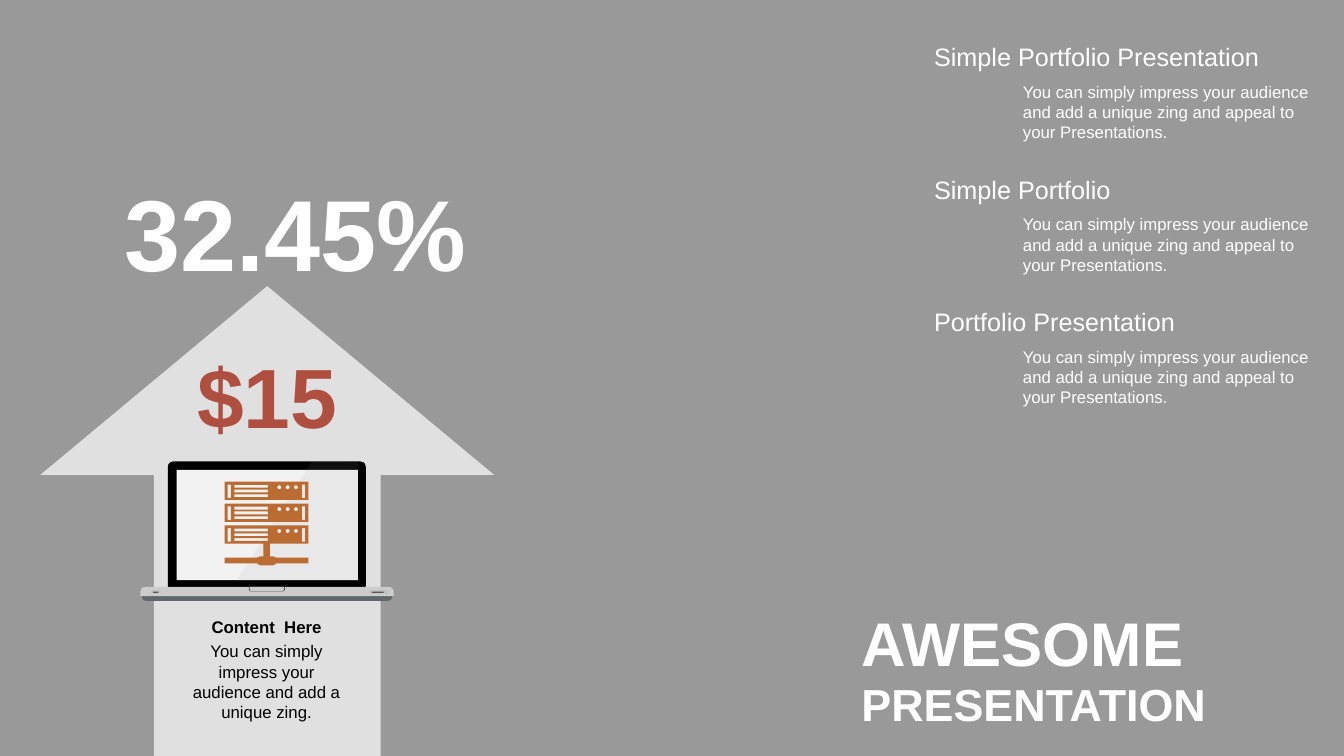
from math import cos, pi, sin

from lxml.etree import SubElement
from pptx import Presentation
from pptx.dml.color import RGBColor
from pptx.enum.shapes import MSO_SHAPE as Preset
from pptx.enum.text import MSO_ANCHOR as Anchor, MSO_AUTO_SIZE as AutoSize, PP_ALIGN as Align
from pptx.oxml.ns import qn
from pptx.util import Cm, Pt

WHITE = RGBColor(0xFF, 0xFF, 0xFF)
BLACK = RGBColor(0x00, 0x00, 0x00)
RED = RGBColor(0xAF, 0x4F, 0x3F)
ORANGE = RGBColor(0xBB, 0x6C, 0x32)
SCREEN = RGBColor(0xF2, 0xF2, 0xF2)
SHEEN = RGBColor(0x99, 0x99, 0x99)
BASE = RGBColor(0xCC, 0xCC, 0xCC)
FOOT = RGBColor(0x5F, 0x67, 0x67)
NOTCH = RGBColor(0x4D, 0x4D, 0x4D)
VENT = RGBColor(0xBF, 0xBF, 0xBF)
SLIT = RGBColor(0x59, 0x59, 0x59)

SLIDE_W, SLIDE_H = 33.87, 19.05
BLURB = "You can simply impress your audience and add a unique zing and appeal to your Presentations."
SECTIONS = ["Simple Portfolio Presentation", "Simple Portfolio", "Portfolio Presentation"]
SECTION_PITCH = 3.34
HEADING_BOX = (23.29, 1.07, 10.36, 0.86)
BLURB_BOX = (25.53, 1.93, 8.13, 1.8)

STYLES = {
    "price": (RED, {"size": Pt(60), "bold": True}, {"alignment": Align.CENTER}),
    "percent": (WHITE, {"size": Pt(72), "bold": True}, {"alignment": Align.CENTER}),
    "caption": (BLACK, {"size": Pt(12), "bold": False}, {"alignment": Align.CENTER}),
    "caption head": (BLACK, {"size": Pt(12), "bold": True}, {"alignment": Align.CENTER}),
    "heading": (WHITE, {"size": Pt(18), "bold": False}, {"line_spacing": 0.8}),
    "blurb": (WHITE, {"size": Pt(12), "bold": False}, {"alignment": Align.LEFT}),
    "title": (WHITE, {"size": Pt(44), "bold": True}, {"alignment": Align.JUSTIFY}),
    "subtitle": (WHITE, {"size": Pt(32), "bold": True}, {"alignment": Align.JUSTIFY}),
}
TITLE = ("AWESOME", "title", (21.46, 15.11, 11.66, 2.13))
TEXTS = [
    ("$15", "price", (3.18, 8.56, 7.11, 2.82)),
    ("32.45%", "percent", (2.08, 4.17, 10.72, 3.33)),
    ("You can simply impress your audience and add a unique zing.", "caption", (4.42, 16.03, 4.6, 2.31)),
    ("Content  Here", "caption head", (4.42, 15.42, 4.6, 0.76)),
    ("PRESENTATION", "subtitle", (21.46, 16.92, 11.66, 1.63)),
]

LAPTOP = [
    (Preset.ROUND_2_SAME_RECTANGLE, (3.58, 14.94, 6.3, 0.2), FOOT, (0, 0.5)),
    (Preset.ROUNDED_RECTANGLE, (4.23, 11.63, 4.99, 3.26), BLACK, (0.04,)),
    (Preset.RECTANGLE, (4.45, 11.84, 4.57, 2.78), SCREEN, ()),
    (Preset.ROUND_2_SAME_RECTANGLE, (3.54, 14.79, 6.38, 0.23), BASE, (0.5, 0)),
    (Preset.ROUND_2_SAME_RECTANGLE, (6.27, 14.79, 0.91, 0.11), NOTCH, (0, 0.5)),
    (Preset.ROUND_2_SAME_RECTANGLE, (6.29, 14.79, 0.87, 0.1), BASE, (0, 0.5)),
    (Preset.ROUNDED_RECTANGLE, (3.81, 14.88, 0.23, 0.08), VENT, (0.28,)),
    (Preset.ROUNDED_RECTANGLE, (3.86, 14.91, 0.13, 0.03), SLIT, (0.28,)),
    (Preset.ROUNDED_RECTANGLE, (9.3, 14.88, 0.48, 0.08), VENT, (0.28,)),
    (Preset.ROUNDED_RECTANGLE, (9.37, 14.91, 0.3, 0.03), SLIT, (0.28,)),
]
SHEEN_OUTLINE = [(7.87, 11.61), (9.02, 11.63), (9.02, 14.63), (5.97, 14.63)]

RACK_LEFT, RACK_TOP, RACK_W, UNIT_H, UNIT_PITCH, UNITS = 5.66, 12.14, 2.11, 0.46, 0.55, 3
STAND = [
    (6.64, 13.7), (6.8, 13.7), (6.8, 14.02), (6.88, 14.02), (6.96, 14.05), (7.77, 14.05),
    (7.77, 14.2), (6.96, 14.2), (6.88, 14.25), (6.56, 14.25), (6.48, 14.2), (5.66, 14.2),
    (5.66, 14.05), (6.48, 14.05), (6.56, 14.02), (6.64, 14.02),
]


def lengths(box):
    return [Cm(value) for value in box]


def paint(shape, colour, opacity=100):
    shape.shadow.inherit = False
    shape.line.fill.background()
    shape.fill.solid()
    shape.fill.fore_color.rgb = colour
    if opacity < 100:
        srgb = shape.element.spPr.find(qn("a:solidFill")).find(qn("a:srgbClr"))
        SubElement(srgb, qn("a:alpha")).set("val", str(opacity * 1000))


def add_preset(shapes, preset, box, colour, adjustments=(), opacity=100):
    shape = shapes.add_shape(preset, *lengths(box))
    for index, value in enumerate(adjustments):
        shape.adjustments[index] = value
    paint(shape, colour, opacity)


def add_outline(shapes, contours, colour, opacity=100):
    first, *others = [[lengths(point) for point in contour] for contour in contours]
    builder = shapes.build_freeform(*first[0])
    builder.add_line_segments(first[1:], close=True)
    for contour in others:
        builder.move_to(*contour[0])
        builder.add_line_segments(contour[1:], close=True)
    paint(builder.convert_to_shape(), colour, opacity)


def write(shape, text, style, anchor=Anchor.TOP):
    colour, font_format, paragraph_format = STYLES[style]
    frame = shape.text_frame
    frame.text = text
    paragraph = frame.paragraphs[0]
    font = paragraph.runs[0].font
    font.color.rgb = colour
    frame_format = {"word_wrap": True, "auto_size": AutoSize.SHAPE_TO_FIT_TEXT, "vertical_anchor": anchor}
    for target, values in (
        (frame, frame_format),
        (font, {"name": "Arial", **font_format}),
        (paragraph, paragraph_format),
    ):
        for name, value in values.items():
            setattr(target, name, value)


def bar(left, top, width, height):
    return [(left, top), (left + width, top), (left + width, top + height), (left, top + height)]


def dot(x, y, radius, steps=16):
    angles = [2 * pi * step / steps for step in range(steps)]
    return [(x + radius * cos(angle), y + radius * sin(angle)) for angle in angles]


def rack_unit(top):
    return [
        bar(RACK_LEFT, top, RACK_W, UNIT_H),
        *[bar(RACK_LEFT + 0.25, top + 0.08 + 0.12 * row, 0.84, 0.07) for row in range(3)],
        *[dot(RACK_LEFT + 1.38 + 0.21 * column, top + 0.14, 0.05) for column in range(3)],
        *[bar(RACK_LEFT + offset, top + 0.07, 0.08, 0.34) for offset in (0.08, 1.95)],
    ]


def main():
    deck = Presentation()
    deck.slide_width, deck.slide_height = Cm(SLIDE_W), Cm(SLIDE_H)
    slide = deck.slides.add_slide(deck.slide_layouts[5])
    shapes = slide.shapes

    add_preset(shapes, Preset.RECTANGLE, (0, 0, SLIDE_W, SLIDE_H), BLACK, opacity=40)
    add_preset(shapes, Preset.UP_ARROW, (1.02, 7.21, 11.43, 11.84), WHITE, (0.5, 0.416), opacity=70)

    laptop = shapes.add_group_shape().shapes
    for preset, box, colour, adjustments in LAPTOP:
        add_preset(laptop, preset, box, colour, adjustments)
    add_outline(laptop, [SHEEN_OUTLINE], SHEEN, opacity=10)

    rack = [contour for unit in range(UNITS) for contour in rack_unit(RACK_TOP + unit * UNIT_PITCH)]
    add_outline(shapes, rack + [STAND], ORANGE)

    title_text, title_style, title_box = TITLE
    title = shapes.title
    title.left, title.top, title.width, title.height = lengths(title_box)
    write(title, title_text, title_style, Anchor.MIDDLE)
    title.element.getparent().append(title.element)

    for text, style, box in TEXTS:
        anchor = Anchor.MIDDLE if style == "subtitle" else Anchor.TOP
        write(shapes.add_textbox(*lengths(box)), text, style, anchor)

    for index, heading in enumerate(SECTIONS):
        for text, style, box in ((heading, "heading", HEADING_BOX), (BLURB, "blurb", BLURB_BOX)):
            left, top, width, height = box
            section_box = (left, top + index * SECTION_PITCH, width, height)
            write(shapes.add_textbox(*lengths(section_box)), text, style)

    deck.save("out.pptx")


if __name__ == "__main__":
    main()
